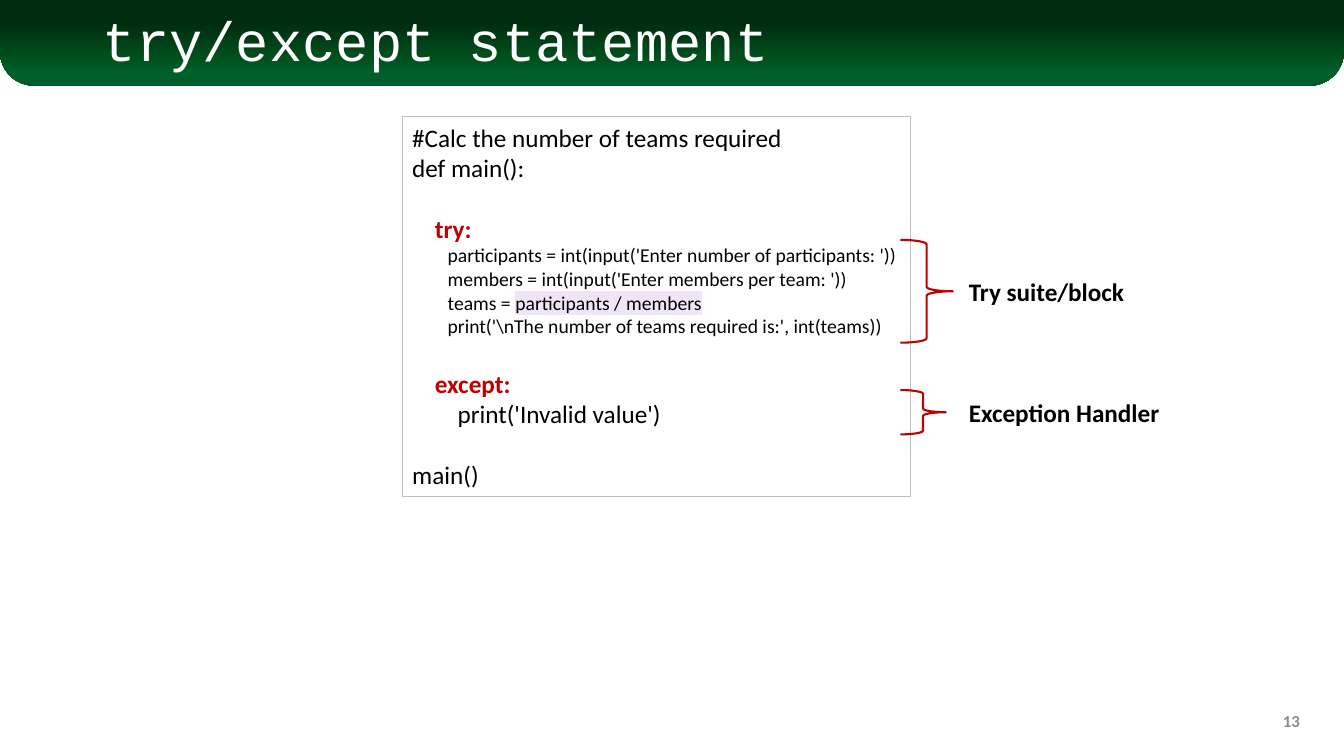
from lxml.etree import SubElement
from pptx import Presentation
from pptx.dml.color import RGBColor
from pptx.enum.shapes import MSO_SHAPE
from pptx.enum.text import MSO_ANCHOR, MSO_AUTO_SIZE, PP_ALIGN
from pptx.oxml import parse_xml
from pptx.oxml.ns import nsdecls, qn
from pptx.util import Inches, Pt

COLORS = {"white": "FFFFFF", "black": "000000", "red": "C00000",
          "border": "BFBFBF", "highlight": "EFE5F7", "number": "8C8C8C"}
BAR_STOPS = [(0, "002D10"), (28, "002D10"), (68, "00501D"), (85, "00602B"), (100, "005C2B")]
CODE = [
    ("#Calc the number of teams required", 18, False),
    ("def main():", 18, False),
    ("    try:", 18, True),
    ("        participants = int(input('Enter number of participants: '))", 14, False),
    ("        members = int(input('Enter members per team: '))", 14, False),
    ("        teams = |participants / members", 14, False),
    ("        print('\\nThe number of teams required is:', int(teams))", 14, False),
    ("    except:", 18, True),
    ("        print('Invalid value')", 18, False),
    ("main()", 18, False),
]
BLOCK_STARTS = (2, 7, 9)
BLANK_LINE = Pt(22)


def color(name):
    """Return the named colour."""
    return RGBColor.from_string(COLORS[name])


def style(r, size, name, bold=False, font="Calibri"):
    """Format one run."""
    r.font.size = Pt(size)
    r.font.name = font
    r.font.bold = bold
    r.font.color.rgb = color(name)


def highlight(r):
    """Put the highlight colour behind a run."""
    mark = SubElement(r.font._element, qn("a:highlight"))
    SubElement(mark, qn("a:srgbClr"), val=COLORS["highlight"])
    r.font._element.find(qn("a:latin")).addprevious(mark)


def add_title(s, text):
    """Fill the title placeholder and lay the gradient bar behind it."""
    sp = s.shapes.title
    sp.left, sp.top, sp.width, sp.height = map(Inches, (0.92, 0.13, 11.5, 0.61))
    tf = sp.text_frame
    tf.text = text
    tf.vertical_anchor = MSO_ANCHOR.MIDDLE
    tf.auto_size = MSO_AUTO_SIZE.NONE
    p = tf.paragraphs[0]
    p.alignment = PP_ALIGN.LEFT
    p.line_spacing = 0.9
    style(p.runs[0], 39.6, "white", font="Courier New")

    bar = s.shapes.add_shape(MSO_SHAPE.ROUND_2_SAME_RECTANGLE, 0, 0, Inches(13.33), Inches(0.85))
    bar.shadow.inherit = False
    bar.adjustments[0], bar.adjustments[1] = 0, 0.4
    bar.line.fill.background()
    stops = "".join(f'<a:gs pos="{pos * 1000}"><a:srgbClr val="{hex_}"/></a:gs>'
                    for pos, hex_ in BAR_STOPS)
    grad = parse_xml(f'<a:gradFill {nsdecls("a")} rotWithShape="1"><a:gsLst>{stops}</a:gsLst>'
                     '<a:lin ang="5400000" scaled="0"/></a:gradFill>')
    bar._element.spPr.find(qn("a:prstGeom")).addnext(grad)
    sp._element.addprevious(bar._element)


def add_code(s):
    """Add the framed program listing."""
    sp = s.shapes.add_textbox(Inches(3.99), Inches(1.16), Inches(5.04), Inches(3.77))
    sp.line.color.rgb = color("border")
    sp.line.width = Pt(0.75)
    tf = sp.text_frame
    tf.word_wrap = True
    for i, (line, size, keyword) in enumerate(CODE):
        p = tf.add_paragraph() if i else tf.paragraphs[0]
        if i in BLOCK_STARTS:
            p.space_before = BLANK_LINE
        for j, part in enumerate(line.split("|")):
            r = p.add_run()
            r.text = part
            style(r, size, "red" if keyword else "black", keyword)
            if j:
                highlight(r)


def add_label(shapes, text, left, top, width, size, name):
    """Add a bold one-line text box."""
    sp = shapes.add_textbox(Inches(left), Inches(top), Inches(width), Inches(0.4))
    tf = sp.text_frame
    tf.text = text
    style(tf.paragraphs[0].runs[0], size, name, True)
    return tf


def add_brace(s, text, top, width, height, label_top, label_width):
    """Group a right brace with its label."""
    group = s.shapes.add_group_shape()
    sp = group.shapes.add_shape(MSO_SHAPE.RIGHT_BRACE, Inches(8.93), Inches(top),
                                Inches(width), Inches(height))
    sp.shadow.inherit = False
    sp.fill.background()
    sp.line.color.rgb = color("red")
    sp.line.width = Pt(1.5)
    tf = add_label(group.shapes, text, 9.51, label_top, label_width, 18, "black")
    tf.word_wrap = False


def main():
    """Build the slide and save it."""
    prs = Presentation()
    prs.slide_width, prs.slide_height = Inches(13.33), Inches(7.5)
    s = prs.slides.add_slide(prs.slide_layouts[5])
    add_title(s, "try/except statement")
    add_code(s)
    add_brace(s, "Try suite/block", 2.38, 0.52, 1.02, 2.69, 1.75)
    add_brace(s, "Exception Handler", 3.87, 0.45, 0.44, 3.89, 2.11)
    tf = add_label(s.shapes, "13", 9.99, 6.95, 3, 12, "number")
    tf.word_wrap = True
    tf.vertical_anchor = MSO_ANCHOR.MIDDLE
    tf.paragraphs[0].alignment = PP_ALIGN.RIGHT
    prs.save("out.pptx")


if __name__ == "__main__":
    main()
